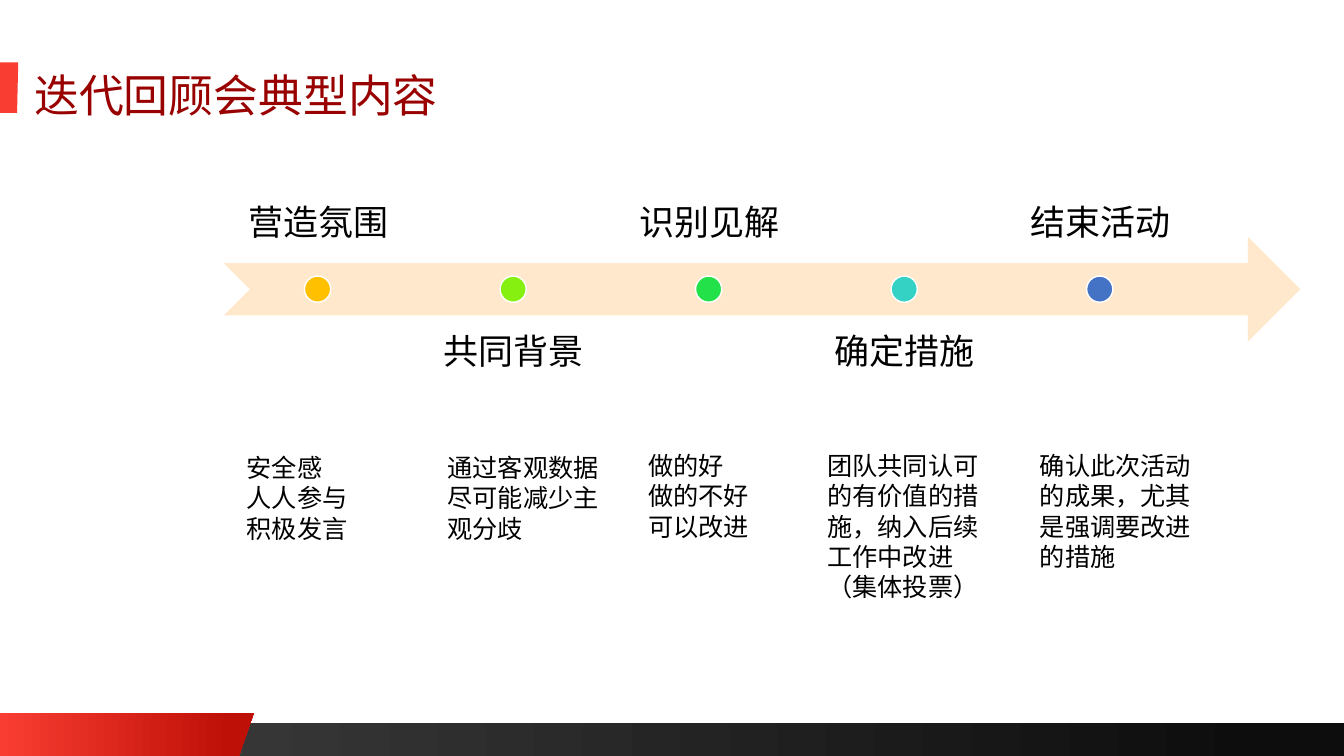
from dataclasses import dataclass

from pptx import Presentation
from pptx.dml.color import RGBColor
from pptx.enum.shapes import MSO_SHAPE
from pptx.enum.text import MSO_ANCHOR, MSO_AUTO_SIZE, PP_ALIGN
from pptx.shapes.autoshape import Shape
from pptx.slide import Slide
from pptx.util import Pt

WHITE = RGBColor(0xFF, 0xFF, 0xFF)
BLACK = RGBColor(0x00, 0x00, 0x00)
MAROON = RGBColor(0x99, 0x00, 0x00)
RED = RGBColor(0xF9, 0x3D, 0x32)
DARK_RED = RGBColor(0xBE, 0x10, 0x07)
GREY = RGBColor(0x40, 0x40, 0x40)
COAL = RGBColor(0x0D, 0x0D, 0x0D)
CREAM = RGBColor(0xFF, 0xE8, 0xCC)
AMBER = RGBColor(0xFF, 0xC0, 0x00)
LIME = RGBColor(0x86, 0xF0, 0x11)
GREEN = RGBColor(0x23, 0xE1, 0x48)
TEAL = RGBColor(0x33, 0xD2, 0xC5)
BLUE = RGBColor(0x44, 0x72, 0xC4)

WIDE, HIGH = 960, 540
STEP = 139.68   # distance between stages
LABEL_X, LABEL_W, LABEL_H = 160.6, 133.2, 74.9
ABOVE, BELOW = 112.3, 225.4
DOT_X, DOT_Y, DOT = 217.5, 197.2, 18.7


@dataclass
class Stage:
    label: str
    color: RGBColor
    note: list[str]
    left: float
    top: float
    width: float
    height: float
    wrap: bool = True


STAGES = [
    Stage("营造氛围", AMBER, ["安全感", "人人参与", "积极发言"],
          169.2, 319.7, 87.1, 72.7, wrap=False),
    Stage("共同背景", LIME, ["通过客观数据", "尽可能减少主观分歧"],
          312.5, 319.7, 131, 72.7),
    Stage("识别见解", GREEN, ["做的好", "做的不好", "可以改进"],
          455.8, 318.2, 87.1, 72.7, wrap=False),
    Stage("确定措施", TEAL,
          ["团队共同认可的有价值的措施，纳入后续工作中改进（集体投票）"],
          583.9, 318.2, 134.6, 116.6),
    Stage("结束活动", BLUE, ["确认此次活动的成果，尤其是强调要改进的措施"],
          735.8, 318.2, 134.6, 94.3),
]


def write(box: Shape, lines: list[str], *, size: float, font: str = "Calibri",
          color: RGBColor = BLACK, align: PP_ALIGN = PP_ALIGN.LEFT,
          anchor: MSO_ANCHOR = MSO_ANCHOR.TOP, space: float = 1,
          inset: tuple[float, float] = (7.2, 3.6), wrap: bool = True,
          grow: bool = True) -> None:
    frame = box.text_frame
    frame.text = "\n".join(lines)
    frame.word_wrap = wrap
    frame.auto_size = (MSO_AUTO_SIZE.SHAPE_TO_FIT_TEXT if grow
                       else MSO_AUTO_SIZE.NONE)
    frame.vertical_anchor = anchor
    frame.margin_left = frame.margin_right = Pt(inset[0])
    frame.margin_top = frame.margin_bottom = Pt(inset[1])
    for para in frame.paragraphs:
        para.alignment = align
        para.line_spacing = space
        for run in para.runs:
            run.font.size = Pt(size)
            run.font.name = font
            run.font.color.rgb = color


def paint(shape: Shape, color: RGBColor) -> None:
    shape.shadow.inherit = False
    shape.fill.solid()
    shape.fill.fore_color.rgb = color
    shape.line.fill.background()


def blend(shape: Shape, start: RGBColor, end: RGBColor, stop: float) -> None:
    paint(shape, start)
    shape.fill.gradient()
    shape.fill.gradient_angle = 0
    first, last = shape.fill.gradient_stops
    first.color.rgb, first.position = start, 0
    last.color.rgb, last.position = end, stop


def add_shape(slide: Slide, kind: MSO_SHAPE, left: float, top: float,
              width: float, height: float) -> Shape:
    return slide.shapes.add_shape(kind, Pt(left), Pt(top), Pt(width), Pt(height))


def add_text(slide: Slide, left: float, top: float,
             width: float, height: float) -> Shape:
    return slide.shapes.add_textbox(Pt(left), Pt(top), Pt(width), Pt(height))


def add_tab(slide: Slide, top: float, width: float, foot: float,
            height: float) -> Shape:
    """Block at the left edge whose right side slants inward."""
    form = slide.shapes.build_freeform(Pt(0), Pt(top))
    low = top + height
    form.add_line_segments([(Pt(width), Pt(top)), (Pt(foot), Pt(low)),
                            (Pt(0), Pt(low))], close=True)
    return form.convert_to_shape()


def add_stage(slide: Slide, index: int, stage: Stage) -> None:
    shift = index * STEP
    over = index % 2 == 0
    label = add_text(slide, LABEL_X + shift, ABOVE if over else BELOW,
                     LABEL_W, LABEL_H)
    write(label, [stage.label], size=25, align=PP_ALIGN.CENTER, space=0.9,
          anchor=MSO_ANCHOR.BOTTOM if over else MSO_ANCHOR.TOP,
          inset=(13.7, 13.7), grow=False)
    dot = add_shape(slide, MSO_SHAPE.OVAL, DOT_X + shift, DOT_Y, DOT, DOT)
    paint(dot, stage.color)
    dot.line.color.rgb = WHITE
    dot.line.width = Pt(1)
    note = add_text(slide, stage.left, stage.top, stage.width, stage.height)
    write(note, stage.note, size=18, wrap=stage.wrap)


def main() -> None:
    deck = Presentation()
    deck.slide_width, deck.slide_height = Pt(WIDE), Pt(HIGH)
    slide = deck.slides.add_slide(deck.slide_layouts[5])

    # Footer bar and red accents
    bar = add_shape(slide, MSO_SHAPE.RECTANGLE, 0, 516.2, WIDE, 23.8)
    blend(bar, GREY, COAL, 0.94)
    blend(add_tab(slide, 509, 181.4, 170.6, 31), RED, DARK_RED, 0.91)
    paint(add_tab(slide, 44.6, 13, 12.2, 36), RED)

    # Title
    title = slide.shapes.title
    title.left, title.top = Pt(18), Pt(41.8)
    title.width, title.height = Pt(459.4), Pt(49.7)
    write(title, ["迭代回顾会典型内容"], size=32, font="Roboto",
          color=MAROON, space=1.1, inset=(6.5, 2.9))

    # Timeline
    arrow = add_shape(slide, MSO_SHAPE.NOTCHED_RIGHT_ARROW,
                      159.8, 169.2, 769, 74.9)
    paint(arrow, CREAM)
    for index, stage in enumerate(STAGES):
        add_stage(slide, index, stage)

    deck.save("out.pptx")


if __name__ == "__main__":
    main()
